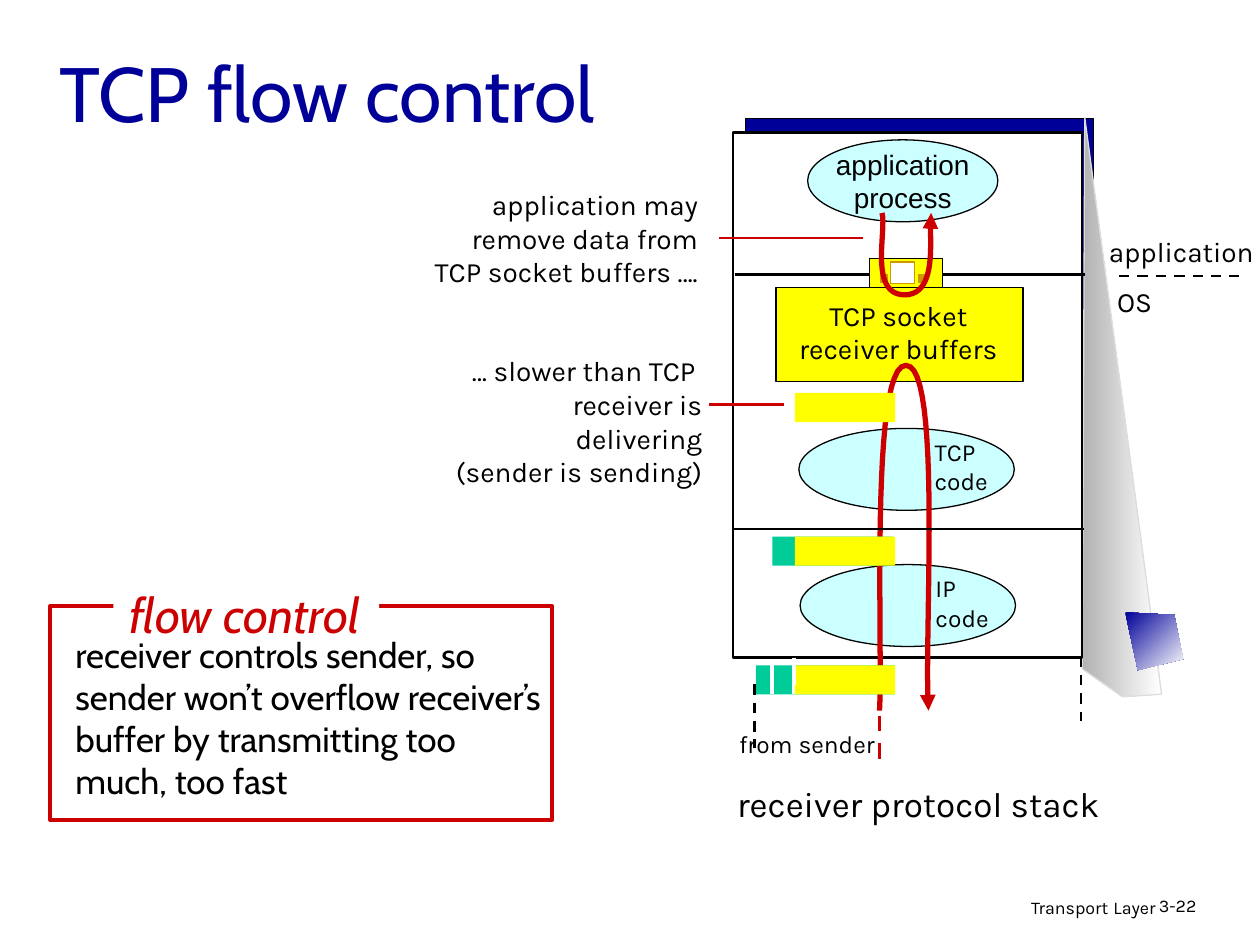
"""Build the TCP flow control slide."""
from typing import NamedTuple, Optional

from lxml.etree import SubElement
from pptx import Presentation
from pptx.dml.color import RGBColor
from pptx.enum.dml import MSO_LINE
from pptx.enum.shapes import MSO_CONNECTOR, MSO_SHAPE as Preset
from pptx.enum.text import MSO_ANCHOR as Anchor, MSO_AUTO_SIZE as AutoSize, PP_ALIGN as Align
from pptx.oxml.ns import qn
from pptx.util import Pt

COLORS = {
    "black": "000000", "white": "FFFFFF", "navy": "000099", "red": "CC0000",
    "cyan": "CCFFFF", "yellow": "FFFF00", "green": "00CC99", "gold": "CC9900",
    "gray": "B2B2B2", "pale": "DDDDDD",
}
BODY = {"name": "Karla", "size": Pt(16)}
SMALL = {"name": "Karla", "size": Pt(14)}
FOOTER = {"name": "Karla", "size": Pt(10.2)}
FOOTER_GAP = {"name": "Karla", "size": Pt(11.9)}
LARGE = {"name": "Karla", "size": Pt(20)}
PROCESS = {"name": "Arial", "size": Pt(16)}
NOTE = {"name": "Cabin", "size": Pt(20)}
NOTE_TITLE = {"name": "Cabin", "size": Pt(28), "italic": True}
TITLE = {"name": "Cabin", "size": Pt(44)}
PACKET_HEIGHT = 16.6
OVAL = (123.1, 46.8)


class Block(NamedTuple):
    left: float
    top: float
    width: float
    height: float
    fill: str
    line: Optional[str] = None
    weight: float = 0.75
    preset: Preset = Preset.RECTANGLE
    lines: tuple = ()


class Label(NamedTuple):
    left: float
    top: float
    width: float
    height: float
    lines: tuple
    style: dict = BODY
    align: Align = Align.LEFT
    color: str = "black"
    wrap: bool = False
    spacing: float = 1.0


class Rule(NamedTuple):
    start: tuple
    end: tuple
    color: str = "black"
    weight: float = 1.5
    dashed: bool = False


class Panel(NamedTuple):
    points: tuple
    fade_from: str
    angle: float
    line: Optional[str] = None


class Flow(NamedTuple):
    points: tuple


def rgb(name: str) -> RGBColor:
    return RGBColor.from_string(COLORS[name])


def set_line(line, color: Optional[str], weight: float) -> None:
    if color is None:
        line.fill.background()
    else:
        line.color.rgb = rgb(color)
        line.width = Pt(weight)


def add_span(para, text: str, style: dict, color: str) -> None:
    span = para.add_run()
    span.text = text
    for name, value in style.items():
        setattr(span.font, name, value)
    span.font.color.rgb = rgb(color)


def write_lines(frame, lines: tuple, style: dict, align: Align, color: str = "black",
                wrap: bool = False, spacing: float = 1.0) -> None:
    frame.word_wrap = wrap
    for index, line in enumerate(lines):
        para = frame.add_paragraph() if index else frame.paragraphs[0]
        para.alignment = align
        para.line_spacing = spacing
        for text, span_style in ([(line, style)] if isinstance(line, str) else line):
            add_span(para, text, span_style, color)


def draw_block(page, block: Block) -> None:
    shape = page.shapes.add_shape(block.preset, *map(Pt, block[:4]))
    shape.shadow.inherit = False
    shape.fill.solid()
    shape.fill.fore_color.rgb = rgb(block.fill)
    set_line(shape.line, block.line, block.weight)
    if block.lines:
        shape.text_frame.vertical_anchor = Anchor.MIDDLE
        write_lines(shape.text_frame, block.lines, PROCESS, Align.CENTER)


def draw_label(page, label: Label) -> None:
    box = page.shapes.add_textbox(*map(Pt, label[:4]))
    write_lines(box.text_frame, *label[4:])


def draw_rule(page, rule: Rule) -> None:
    rule_line = page.shapes.add_connector(
        MSO_CONNECTOR.STRAIGHT, *map(Pt, rule.start + rule.end))
    set_line(rule_line.line, rule.color, rule.weight)
    if rule.dashed:
        rule_line.line.dash_style = MSO_LINE.DASH
    SubElement(rule_line._element.spPr, qn("a:effectLst"))


def draw_outline(page, points: list, close: bool):
    corners = [(Pt(x), Pt(y)) for x, y in points]
    builder = page.shapes.build_freeform(*corners[0])
    builder.add_line_segments(corners[1:], close=close)
    shape = builder.convert_to_shape()
    shape.shadow.inherit = False
    return shape


def draw_panel(page, panel: Panel) -> None:
    shape = draw_outline(page, panel.points, True)
    shape.fill.gradient()
    shape.fill.gradient_angle = panel.angle
    for stop, color, position in zip(shape.fill.gradient_stops, (panel.fade_from, "white"), (0, 1)):
        stop.color.rgb = rgb(color)
        stop.position = position
    set_line(shape.line, panel.line, 0.75)


def bezier(points: tuple, t: float) -> tuple:
    weights = ((1 - t) ** 3, 3 * t * (1 - t) ** 2, 3 * t ** 2 * (1 - t), t ** 3)
    return tuple(sum(w * p[axis] for w, p in zip(weights, points)) for axis in (0, 1))


def draw_flow(page, flow: Flow, steps: int = 24) -> None:
    trail = [flow.points[0]]
    for first in range(0, len(flow.points) - 1, 3):
        curve = flow.points[first:first + 4]
        trail += [bezier(curve, step / steps) for step in range(1, steps + 1)]
    shape = draw_outline(page, trail, False)
    shape.fill.background()
    set_line(shape.line, "red", 3)
    SubElement(shape.line._get_or_add_ln(), qn("a:tailEnd"), type="triangle")


DRAW = {Block: draw_block, Label: draw_label, Rule: draw_rule, Panel: draw_panel, Flow: draw_flow}

ITEMS = [
    Label(439.2, 509, 228.2, 22.3, ((("Transport", FOOTER), (" ", FOOTER_GAP), ("Layer", FOOTER)),),
          FOOTER, Align.RIGHT, wrap=True, spacing=0.9),
    Label(655.2, 509, 53.3, 21.6, ("3-22",), FOOTER, wrap=True, spacing=0.9),
    Block(426.2, 67.7, 198.7, 303.8, "navy", "black"),
    Panel(((663.8, 396.7), (619.9, 67), (618.5, 382.3), (641.5, 398.2)), "gray", 0, "pale"),
    Block(419, 75.6, 199.4, 300.2, "white", "black", 1.5),
    Block(461.5, 79.9, 108.7, 46.8, "cyan", "black", preset=Preset.OVAL,
          lines=("application", "process")),
    Block(443.5, 164.2, 141.1, 54, "yellow", "black"),
    Label(447.1, 167, 132.5, 46.1, ("TCP socket", "receiver buffers"), align=Align.CENTER),
    Block(456.5, 244.8, *OVAL, "cyan", "black", preset=Preset.OVAL),
    Label(527, 246.2, 46.1, 41, ("TCP", "code"), SMALL),
    Block(457.2, 322.6, *OVAL, "cyan", "black", preset=Preset.OVAL),
    Label(527.5, 324, 46.1, 41, ("IP", "code"), SMALL),
    Flow(((502.6, 406.1), (504.7, 373), (496.8, 208.8), (517.7, 208.8),
          (538.6, 208.8), (527.8, 365), (530.6, 406.1))),
    Rule((419, 302.4), (619.2, 302.4)),
    Rule((419.8, 157), (619.9, 157)),
    Block(496.8, 147.6, 41.8, 16.6, "yellow", "black"),
    Block(509, 149.8, 13.7, 12.2, "white", "gold"),
    *(Block(left, 157, 3.6, 4.3, "gold", "gold") for left in (524.9, 503.3)),
    Flow(((504, 121.7), (506.9, 131), (496.1, 168.5), (517, 168.5),
          (537.8, 168.5), (529.9, 129.6), (532.1, 121.7))),
    Block(432, 380.2, 79.2, PACKET_HEIGHT, "green"),
    *(Rule((x, 380.2), (x, 396.8), "white", 2.25) for x in (441.4, 453.6)),
    Block(441.4, 306.7, 69.1, PACKET_HEIGHT, "green"),
    *(Block(454.3, top, 57.2, PACKET_HEIGHT, "yellow") for top in (224.6, 306.7, 380.2)),
    Label(626.4, 130.3, 97.2, 26.6, ("application",), align=Align.CENTER),
    Label(630.7, 159.1, 35.3, 26.6, ("OS",), align=Align.CENTER),
    Rule((639.4, 157.7), (707.8, 157.7), dashed=True),
    Label(411.1, 443.5, 227.5, 31.7, ("receiver protocol stack",), LARGE, Align.CENTER),
    Label(158.4, 103.7, 251.3, 64.8,
          ("application may ", "remove data from ", "TCP socket buffers …. "),
          align=Align.RIGHT, wrap=True),
    Rule((411.1, 136.1), (493.2, 136.1), "red"),
    Label(244.1, 198.7, 164.2, 84.2,
          ("… slower than TCP ", "receiver is delivering", "(sender is sending)"),
          align=Align.RIGHT, wrap=True),
    Rule((405.4, 231.1), (447.8, 231.1), "red"),
    Rule((502.6, 409), (502.6, 436.3), "red", 2.25, True),
    Label(413.3, 413.3, 95.8, 24.5, ("from sender",), SMALL, Align.CENTER),
    Rule((453.6, 375.8), (453.6, 391.7), "white", 2.25),
    Block(28.8, 346.3, 286.6, 122.4, "white", "red", 2.25),
    Label(36, 358.6, 283, 127.4,
          ("receiver controls sender, so sender won’t overflow receiver’s buffer by "
           "transmitting too much, too fast",), NOTE, wrap=True),
    Block(64.8, 337.7, 151.9, 28.1, "white"),
    Label(59, 330.5, 161.3, 41, ("flow control",), NOTE_TITLE, Align.CENTER, "red"),
    Rule((431.3, 391), (431.3, 427.7), dashed=True),
    Rule((617.8, 375.1), (617.8, 411.8), dashed=True),
    Panel(((643, 349.9), (671, 351.4), (676.1, 376.6), (650.2, 383)), "navy", 315),
]


def main() -> None:
    deck = Presentation()
    deck.slide_width, deck.slide_height = Pt(720), Pt(540)
    page = deck.slides.add_slide(deck.slide_layouts[5])
    title = page.shapes.title
    place = {"left": Pt(26.6), "top": Pt(13.7), "width": Pt(612), "height": Pt(77)}
    for name, value in place.items():
        setattr(title, name, value)
    title.text_frame.auto_size = AutoSize.NONE
    title.text_frame.vertical_anchor = Anchor.MIDDLE
    write_lines(title.text_frame, ("TCP flow control",), TITLE, Align.LEFT, "navy", True)
    for item in ITEMS:
        DRAW[type(item)](page, item)
    deck.save("out.pptx")


if __name__ == "__main__":
    main()
